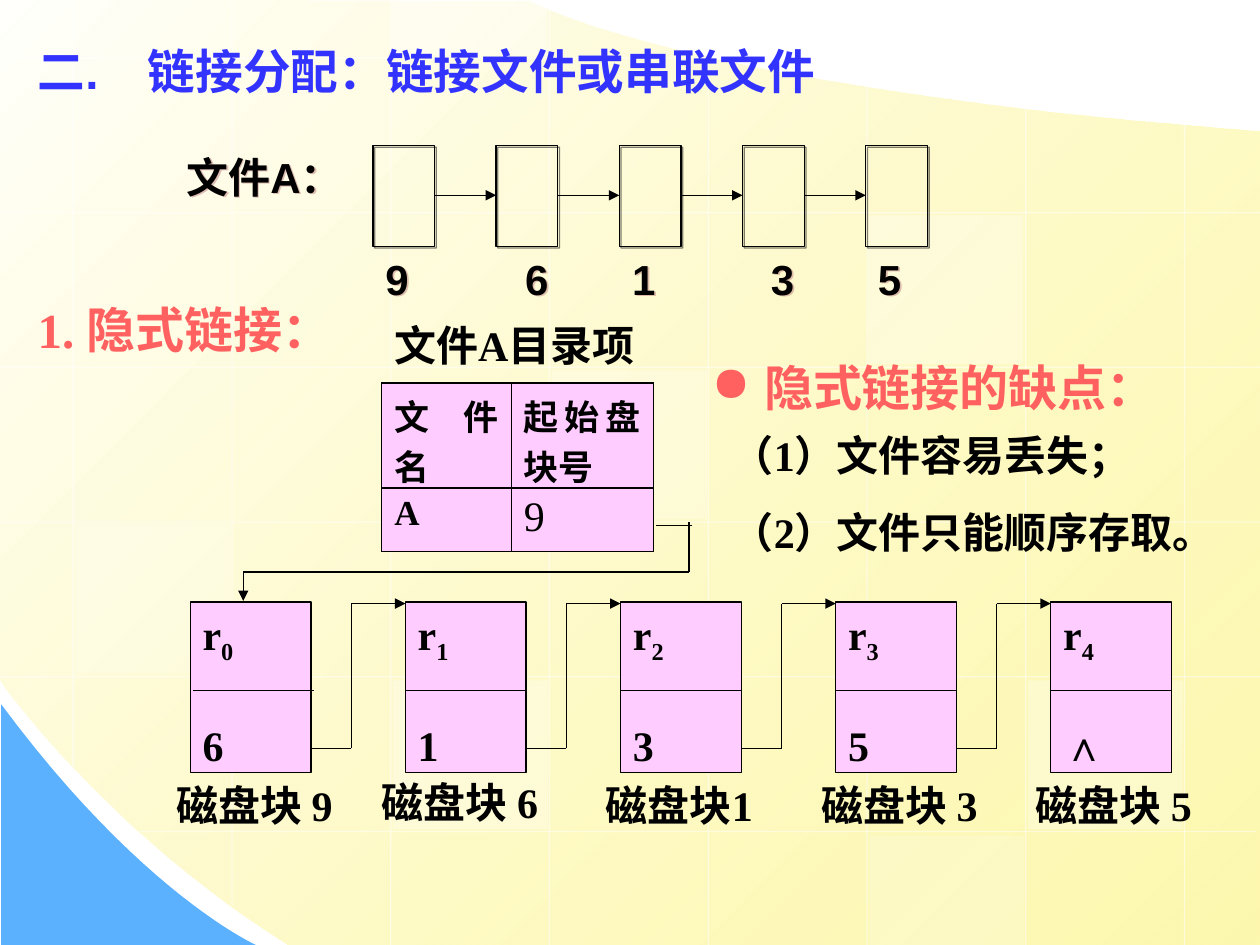
"""Build the slide on linked allocation of files."""
from lxml import etree
from pptx import Presentation
from pptx.dml.color import RGBColor
from pptx.enum.shapes import MSO_CONNECTOR, MSO_SHAPE
from pptx.enum.text import MSO_ANCHOR, PP_ALIGN
from pptx.oxml.ns import qn
from pptx.util import Pt

STRAIGHT = MSO_CONNECTOR.STRAIGHT
RECT = MSO_SHAPE.RECTANGLE
TOP = MSO_ANCHOR.TOP
JUST = PP_ALIGN.JUSTIFY
SANS, SERIF = "Arial", "Times New Roman"
HUES = {"white": "FFFFFF", "cream": "FFFFFB", "yellow": "FDF58D", "sky": "5CB1FE",
        "blue": "3333FF", "red": "FF6161", "black": "000000", "pink": "FFCCFF",
        "rose": "C08080"}
INK = {name: RGBColor.from_string(value) for name, value in HUES.items()}

deck = Presentation()
deck.slide_width, deck.slide_height = Pt(720), Pt(540)
slide = deck.slides.add_slide(deck.slide_layouts[6])
shapes = slide.shapes


def link(x1, y1, x2, y2, hue="black", arrow=False):
    wire = shapes.add_connector(STRAIGHT, Pt(x1), Pt(y1), Pt(x2), Pt(y2))
    wire.line.color.rgb = INK[hue]
    wire.line.width = Pt(0.75)
    if arrow:
        etree.SubElement(wire.line._ln, qn("a:tailEnd"), type="triangle")
    etree.SubElement(wire.element.spPr, qn("a:effectLst"))
    return wire


def put(para, words, size=24, hue="black", face=SERIF, bold=True):
    run = para.add_run()
    run.text = words
    run.font.size, run.font.name, run.font.bold = Pt(size), face, bold
    run.font.color.rgb = INK[hue]
    return run


# Each curve is four control points; corners follow as plain points.
curves = [
    ([(165.6, 540), (61.9, 475.9), (-0.7, 388), (0, 388)],
     [(-0.7, -0.7), (303, 0.7)],
     [(303, 0.7), (303, 0.7), (386.6, 49.7), (720, 74.9)], [(720, 540)]),
    ([(146.2, 540), (146.2, 540), (80.6, 510.5), (0.7, 402.5)], [(0.7, 540)], [], []),
]
fields = []
for first, edge, second, end in curves:
    path = []
    for curve, ends in ((first, edge), (second, end)):
        if curve:
            for step in range(25):
                t = step / 24
                mix = ((1 - t) ** 3, 3 * t * (1 - t) ** 2, 3 * t * t * (1 - t), t ** 3)
                path.append([sum(m * p[k] for m, p in zip(mix, curve)) for k in (0, 1)])
        path += ends
    spots = [(Pt(x), Pt(y)) for x, y in path]
    pen = shapes.build_freeform(*spots[0], scale=1.0)
    pen.add_line_segments(spots[1:])
    field = pen.convert_to_shape()
    field.shadow.inherit = False
    field.line.fill.background()
    fields.append(field)
paper, corner = fields
paper.fill.gradient()
paper.fill.gradient_angle = 315
for stop, hue, place in zip(paper.fill.gradient_stops, ("cream", "yellow"), (0, 1)):
    stop.color.rgb = INK[hue]
    stop.position = place
tint = list(paper.element.spPr.iter(qn("a:srgbClr")))[-1]
etree.SubElement(tint, qn("a:alpha"), val="70000")
corner.fill.solid()
corner.fill.fore_color.rgb = INK["sky"]

tops = (0, 0, 0, 0, 31, 49, 61.2, 70.6)
feet = (438.5, 517.7) + (540,) * 6
grid = [(41.8 + 90.72 * i, top, 41.8 + 90.72 * i, foot)
        for i, (top, foot) in enumerate(zip(tops, feet))]
lefts = (0, 0, 0, 0, 0, 79.9)
rights = (409, 720, 720, 720, 720, 717.8)
grid += [(right, 33.1 + 88.4 * i, left, 33.1 + 88.4 * i)
         for i, (left, right) in enumerate(zip(lefts, rights))]
panes = [(link(*ends, hue="white"), 50) for ends in grid]
for x, y, h, share in ((315.4, 211.7, 85, 25), (587.5, 388.8, 85, 30), (43.2, 299.5, 85, 20),
                       (496.8, 477.4, 62.6, 20), (223.9, 0, 31.7, 40),
                       (224.6, 388.8, 85, 30), (496.1, 123.1, 85, 30)):
    tile = shapes.add_shape(RECT, Pt(x), Pt(y), Pt(88.6), Pt(h))
    tile.shadow.inherit = False
    tile.line.fill.background()
    tile.fill.solid()
    tile.fill.fore_color.rgb = INK["white"]
    panes.append((tile, share))
for pane, share in panes:
    for tint in pane.element.spPr.iter(qn("a:srgbClr")):
        etree.SubElement(tint, qn("a:alpha"), val=str(share * 1000))

labels = [
    (14.4, 20.2, 538.6, 48.2, 27.2, "blue", SANS, ["二.\t链接分配：链接文件或串联文件"]),
    (399.6, 200.9, 295.2, 41, 28, "red", SERIF, ["隐式链接的缺点："]),
    (14.4, 167.8, 221, 41, 28, "red", SERIF, ["1. 隐式链接："]),
    (218.2, 179.3, 175.7, 36, 24, "black", SERIF, ["文件A目录项"]),
    (411.1, 241.9, 311.8, 79.9, 24, "black", SERIF,
     ["（1）文件容易丢失；", "（2）文件只能顺序存取。"]),
    (99.4, 82.8, 122.4, 36, 24, "black", SANS, ["文件A："]),
]
for x, w, mark in ((213.1, 35.3, "9"), (293, 43.9, "6"), (354.2, 35.3, "1"),
                   (433.4, 43.9, "3"), (494.6, 35.3, "5")):
    labels.append((x, 141.1, w, 36, 24, "black", SANS, [mark]))
for x, y, mark in ((93.6, 442.1, " 9"), (211, 439.9, " 6"), (339.1, 442.1, "1"),
                   (462.2, 442.1, " 3"), (584.6, 442.1, " 5")):
    labels.append((x, y, 115.2, 36, 24, "black", SERIF, ["磁盘块" + mark]))
frames, shades = [], []
for x, y, w, h, size, hue, face, rows in labels:
    note = shapes.add_textbox(Pt(x), Pt(y), Pt(w), Pt(h))
    frame = note.text_frame
    frame.word_wrap = True
    for i, words in enumerate(rows):
        para = frame.add_paragraph() if i else frame.paragraphs[0]
        if i:
            para.space_before = Pt(15)
        put(para, words, size, hue, face)
    frames.append(frame)
    if face == SANS and size == 24:
        shades.append((note, "rose"))

props = frames[0].paragraphs[0]._p.get_or_add_pPr()
tabs = etree.SubElement(props, qn("a:tabLst"))
etree.SubElement(tabs, qn("a:tab"), pos=str(Pt(63)), algn="l")
props = frames[1].paragraphs[0]._p.get_or_add_pPr()
props.set("marL", str(Pt(30)))
props.set("indent", str(-Pt(30)))
tone = etree.SubElement(props, qn("a:buClr"))
etree.SubElement(tone, qn("a:srgbClr"), val=HUES["red"])
etree.SubElement(props, qn("a:buChar"), char="●")

table = shapes.add_table(2, 2, Pt(218.2), Pt(218.9), Pt(155.2), Pt(95)).table
table.first_row = table.horz_banding = False
for col, width in zip(table.columns, (73.9, 81.3)):
    col.width = Pt(width)
for row, height in zip(table.rows, (60, 35)):
    row.height = Pt(height)
entries = [("文件名", 20, True), ("起始盘块号", 20, True), ("A", 20, True), ("9", 24, False)]
for cell, (words, size, bold) in zip(table.iter_cells(), entries):
    cell.fill.solid()
    cell.fill.fore_color.rgb = INK["pink"]
    para = cell.text_frame.paragraphs[0]
    para.alignment = JUST
    put(para, words, size, bold=bold)
    props = cell._tc.get_or_add_tcPr()
    for i, side in enumerate(("lnL", "lnR", "lnT", "lnB")):
        edge = etree.Element(qn("a:" + side), w=str(Pt(0.75)))
        paint = etree.SubElement(edge, qn("a:solidFill"))
        etree.SubElement(paint, qn("a:srgbClr"), val=HUES["black"])
        props.insert(i, edge)

link(375.1, 300.2, 395.3, 300.2)
link(393.8, 298.1, 393.8, 326.9)
link(393.8, 326.9, 139, 326.9)
link(139, 326.9, 139, 343.4, arrow=True)

for i in range(5):
    x = 213.1 + 70.4 * i
    box = shapes.add_shape(RECT, Pt(x), Pt(83.2), Pt(35.3), Pt(57.6))
    box.fill.background()
    box.line.color.rgb = INK["black"]
    box.line.width = Pt(0.75)
    shades.append((box, "black"))
    if i < 4:
        link(x + 35.3, 111.6, x + 70.4, 111.6, arrow=True)
for shape, hue in shades:
    shape.shadow.inherit = False
    effect = shape.element.spPr.find(qn("a:effectLst"))
    cast = etree.SubElement(effect, qn("a:outerShdw"), dist=str(Pt(1.4)), dir="2700000")
    tint = etree.SubElement(cast, qn("a:srgbClr"), val=HUES[hue])
    etree.SubElement(tint, qn("a:alpha"), val="50000")

for i, (mark, face) in enumerate(zip("6135∧", [SERIF] * 4 + [SANS])):
    x = 108.7 + 122.95 * i
    disk = shapes.add_shape(RECT, Pt(x), Pt(344), Pt(69), Pt(97.4))
    disk.shadow.inherit = False
    disk.fill.solid()
    disk.fill.fore_color.rgb = INK["pink"]
    disk.line.color.rgb = INK["black"]
    disk.line.width = Pt(0.75)
    frame = disk.text_frame
    frame.vertical_anchor = TOP
    head, foot = frame.paragraphs[0], frame.add_paragraph()
    head.alignment = foot.alignment = JUST
    foot.space_before = Pt(31)
    put(head, "r")
    put(head, str(i)).font._element.set("baseline", "-25000")
    put(foot, mark, face=face)
    shift = 0 if i else 1.6
    link(x + shift, 394.6, x + 69 + shift, 394.6)
    if i < 4:
        link(x + 69, 427.7, x + 92, 427.7)
        link(x + 92, 427.7, x + 92, 344.9)
        link(x + 92, 344.9, x + 122.95, 344.9, arrow=True)

deck.save("out.pptx")
